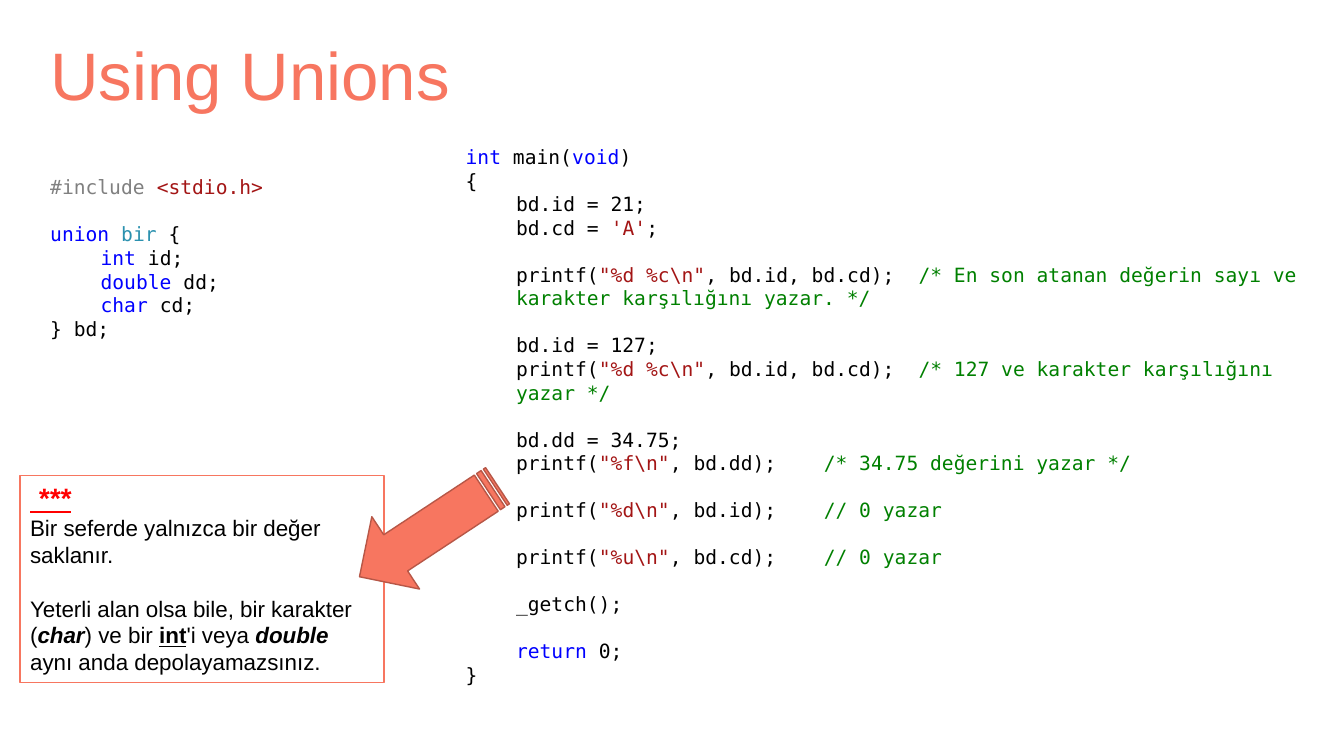
"""Builds the "Using Unions" slide with C code, a callout and an arrow."""
from pptx import Presentation
from pptx.dml.color import RGBColor
from pptx.enum.shapes import MSO_SHAPE
from pptx.enum.text import MSO_ANCHOR, MSO_AUTO_SIZE, PP_ALIGN
from pptx.util import Inches, Pt

RECTANGLE = MSO_SHAPE.RECTANGLE
STRIPED_ARROW = MSO_SHAPE.STRIPED_RIGHT_ARROW
TOP, MIDDLE = MSO_ANCHOR.TOP, MSO_ANCHOR.MIDDLE
GROW = MSO_AUTO_SIZE.SHAPE_TO_FIT_TEXT
LEFT = PP_ALIGN.LEFT

COLORS = {
    "plain": "000000", "keyword": "0000FF", "string": "A31515",
    "comment": "008000", "directive": "808080", "type": "2B91AF",
    "coral": "F77660", "coral_dark": "B75747", "alert": "FF0000", "white": "FFFFFF",
}
SANS, MONO = "Arial", "DejaVu Sans Mono"
CODE_SIZE, CODE_GAP = 14, 16.8
NOTE_SIZE, NOTE_GAP = 16, 19
INDENT = Inches(0.5)

TITLE = "Using Unions"
TITLE_AT = (0.4, 0.28, 5.44, 0.91)
UNION_AT = (0.4, 1.69, 3.2, 1.75)
MAIN_AT = (4.52, 1.39, 8.58, 5.28)
NOTE_AT = (0.2, 4.72, 3.61, 2.05)
ARROW_AT, ARROW_ANGLE = (3.43, 4.84, 1.64, 0.86), 146.6

BLANK = None
UNION_CODE = [
    (0, [("directive", "#include "), ("string", "<stdio.h>")]),
    BLANK,
    (0, [("keyword", "union "), ("type", "bir"), ("plain", " {")]),
    (1, [("keyword", "int "), ("plain", "id;")]),
    (1, [("keyword", "double "), ("plain", "dd;")]),
    (1, [("keyword", "char"), ("plain", " cd;")]),
    (0, [("plain", "} bd;")]),
]


def print_line(template, arguments, comment):
    return (1, [("plain", "printf("), ("string", f'"{template}\\n"'),
                ("plain", arguments), ("comment", comment)])


MAIN_CODE = [
    (0, [("keyword", "int"), ("plain", " main("), ("keyword", "void"), ("plain", ")")]),
    (0, [("plain", "{")]),
    (1, [("plain", "bd.id = 21;")]),
    (1, [("plain", "bd.cd = "), ("string", "'A'"), ("plain", ";")]),
    BLANK,
    print_line("%d %c", ", bd.id, bd.cd);  ",
               "/* En son atanan değerin sayı ve karakter karşılığını yazar. */"),
    BLANK,
    (1, [("plain", "bd.id = 127;")]),
    print_line("%d %c", ", bd.id, bd.cd);  ", "/* 127 ve karakter karşılığını yazar */"),
    BLANK,
    (1, [("plain", "bd.dd = 34.75;")]),
    print_line("%f", ", bd.dd);    ", "/* 34.75 değerini yazar */"),
    BLANK,
    print_line("%d", ", bd.id);    ", "// 0 yazar"),
    BLANK,
    print_line("%u", ", bd.cd);    ", "// 0 yazar"),
    BLANK,
    (1, [("plain", "_getch();")]),
    BLANK,
    (1, [("keyword", "return"), ("plain", " 0;")]),
    (0, [("plain", "}")]),
]

NOTE_MARK = " ***"
NOTE_RULE = "Bir seferde yalnızca bir değer saklanır."
NOTE_DETAIL = [
    ("", "Yeterli alan olsa bile, bir karakter ("), ("bi", "char"),
    ("", ") ve bir "), ("bu", "int"), ("", "'i veya "), ("bi", "double"),
    ("", " aynı anda depolayamazsınız."),
]


def rgb(name):
    return RGBColor.from_string(COLORS[name])


def box(at):
    return [Inches(length) for length in at]


def set_font(font, name, size, color=None):
    font.name, font.size = name, Pt(size)
    if color:
        font.color.rgb = rgb(color)


def prepare(frame, anchor=TOP):
    frame.word_wrap, frame.auto_size, frame.vertical_anchor = True, GROW, anchor
    return frame


def next_paragraph(frame, first):
    return frame.paragraphs[0] if first else frame.add_paragraph()


def emphasize(font, marks):
    font.bold, font.italic, font.underline = ("b" in marks, "i" in marks, "u" in marks)


def add_code(slide, at, lines):
    frame = prepare(slide.shapes.add_textbox(*box(at)).text_frame)
    gap = 0
    for number, line in enumerate(lines):
        if line is BLANK:
            gap = CODE_GAP
            continue
        level, tokens = line
        paragraph = next_paragraph(frame, number == 0)
        paragraph.level, paragraph.space_before = level, Pt(gap)
        paragraph._p.get_or_add_pPr().set("marL", str(level * INDENT))
        set_font(paragraph.font, MONO, CODE_SIZE)
        for role, text in tokens:
            run = paragraph.add_run()
            run.text = text
            run.font.color.rgb = rgb(role)
        gap = 0


def add_figure(slide, kind, at, fill, line):
    figure = slide.shapes.add_shape(kind, *box(at))
    figure.shadow.inherit = False
    figure.fill.solid()
    figure.fill.fore_color.rgb = rgb(fill)
    figure.line.color.rgb = rgb(line)
    figure.line.width = Pt(1)
    return figure


def add_note(slide):
    frame = prepare(add_figure(slide, RECTANGLE, NOTE_AT, "white", "coral").text_frame)
    mark, rule, detail = (next_paragraph(frame, i == 0) for i in range(3))
    mark.text, rule.text = NOTE_MARK, NOTE_RULE
    set_font(mark.font, SANS, 20, "alert")
    emphasize(mark.font, "biu")
    for paragraph in (rule, detail):
        set_font(paragraph.font, SANS, NOTE_SIZE, "plain")
    detail.space_before = Pt(NOTE_GAP)
    for marks, text in NOTE_DETAIL:
        run = detail.add_run()
        run.text = text
        emphasize(run.font, marks)
    for paragraph in frame.paragraphs:
        paragraph.alignment = LEFT


def main():
    deck = Presentation()
    deck.slide_width, deck.slide_height = Inches(13.33), Inches(7.5)
    slide = deck.slides.add_slide(deck.slide_layouts[6])
    add_code(slide, UNION_AT, UNION_CODE)
    add_code(slide, MAIN_AT, MAIN_CODE)
    heading = prepare(slide.shapes.add_textbox(*box(TITLE_AT)).text_frame, MIDDLE)
    heading.text = TITLE
    set_font(heading.paragraphs[0].font, SANS, 48, "coral")
    add_note(slide)
    arrow = add_figure(slide, STRIPED_ARROW, ARROW_AT, "coral", "coral_dark")
    arrow.rotation = ARROW_ANGLE
    deck.save("out.pptx")


if __name__ == "__main__":
    main()
